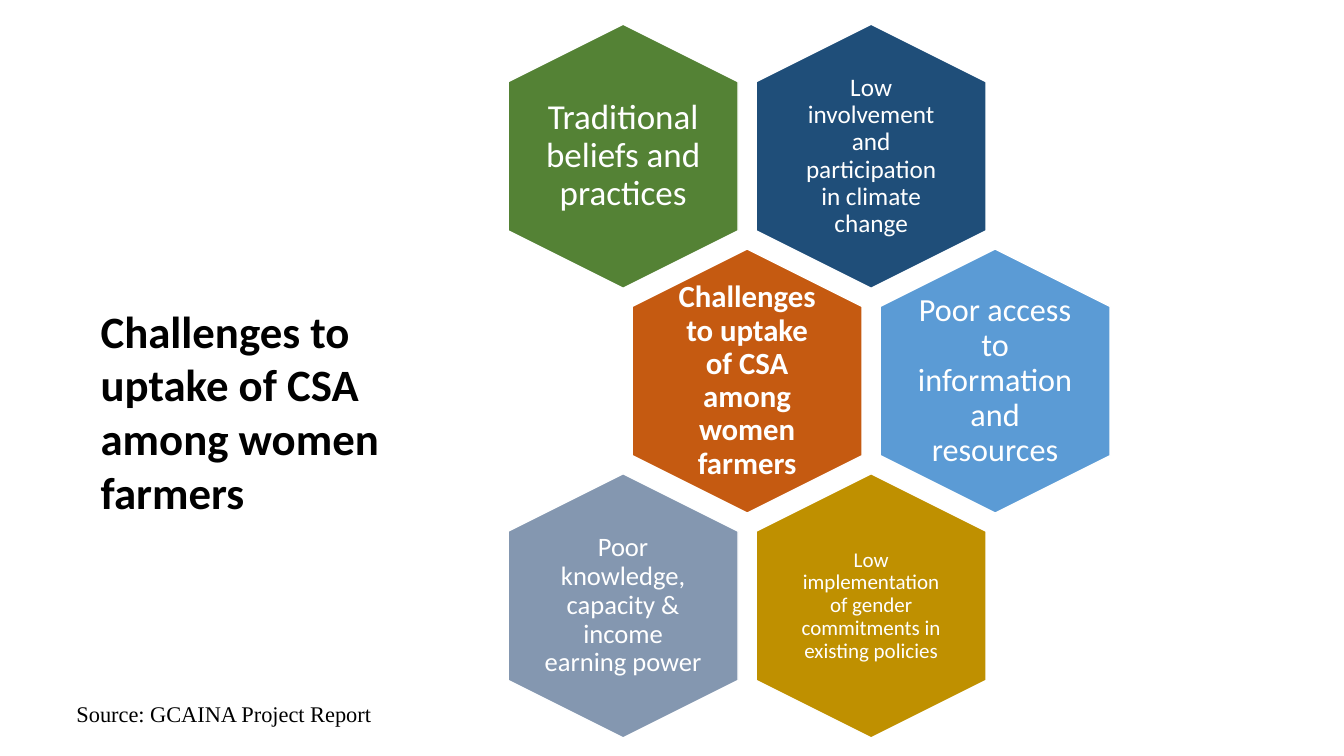
from pptx import Presentation
from pptx.dml.color import RGBColor
from pptx.enum.shapes import MSO_SHAPE
from pptx.enum.text import MSO_ANCHOR, MSO_AUTO_SIZE, PP_ALIGN
from pptx.util import Inches, Pt

HEXAGON = MSO_SHAPE.HEXAGON
MIDDLE = MSO_ANCHOR.MIDDLE
CENTER = PP_ALIGN.CENTER
GROW = MSO_AUTO_SIZE.SHAPE_TO_FIT_TEXT

COLORS = {
    "white": "FFFFFF", "black": "000000", "navy": "1F4E79", "green": "548235",
    "orange": "C55A11", "blue": "5B9BD5", "gold": "BF9000", "slate": "8497B0",
}


def color(name):
    return RGBColor.from_string(COLORS[name])


def add_text(text, left, top, width, height, size, ink, bold=False, face="Calibri"):
    box = slide.shapes.add_textbox(Inches(left), Inches(top), Inches(width), Inches(height))
    frame = box.text_frame
    frame.word_wrap = True
    frame.text = text
    font = frame.paragraphs[0].runs[0].font
    font.name, font.size, font.bold = face, Pt(size), bold
    font.color.rgb = color(ink)
    return frame


prs = Presentation()
prs.slide_width, prs.slide_height = Inches(13.33), Inches(7.5)
slide = prs.slides.add_slide(prs.slide_layouts[6])

# Title
title = add_text("Challenges to uptake of CSA among women farmers",
                 0.9, 2.96, 2.97, 2.26, 32, "black", bold=True)
title.auto_size = GROW

# Honeycomb: row, column, fill, text size, inset, bold, text
cells = [
    (0, 1, "navy", 18, 0.07, False, "Low involvement and participation in climate change"),
    (0, 0, "green", 25, 0, False, "Traditional beliefs and practices"),
    (1, 0, "orange", 22, 0.09, True, "Challenges to uptake of CSA among women farmers"),
    (1, 1, "blue", 23, 0, False, "Poor access to information and resources"),
    (2, 1, "gold", 15, 0.06, False,
     "Low implementation of gender commitments in existing policies"),
    (2, 0, "slate", 19, 0, False, "Poor knowledge, capacity & income earning power"),
]
hex_w, hex_h = 2.62, 2.28
text_w, text_h = 1.57, 1.81
step_x, step_y = 2.46, 2.23

for row, col, fill, size, inset, bold, text in cells:
    # Odd rows shift right by half a step
    left = 4.87 + step_x * (col + row % 2 / 2)
    top = 0.41 + step_y * row
    cell = slide.shapes.add_shape(HEXAGON, Inches(left), Inches(top),
                                  Inches(hex_w), Inches(hex_h))
    cell.adjustments[0] = 0.25
    cell.rotation = 90
    cell.shadow.inherit = False
    cell.fill.solid()
    cell.fill.fore_color.rgb = color(fill)
    cell.line.color.rgb = color("white")
    cell.line.width = Pt(1)

    # Upright label centred on the turned hexagon
    label = add_text(text, left + (hex_w - text_w) / 2, top + (hex_h - text_h) / 2,
                     text_w, text_h, size, "white", bold)
    label.vertical_anchor = MIDDLE
    label.margin_left = label.margin_right = Inches(inset)
    label.margin_top = label.margin_bottom = Inches(inset)
    label.paragraphs[0].alignment = CENTER
    label.paragraphs[0].line_spacing = 0.9

# Source line
source = add_text("Source: GCAINA Project Report", 0.66, 6.9, 3.59, 0.37, 16, "black",
                  face="Times New Roman")
source.auto_size = GROW

prs.save("out.pptx")
